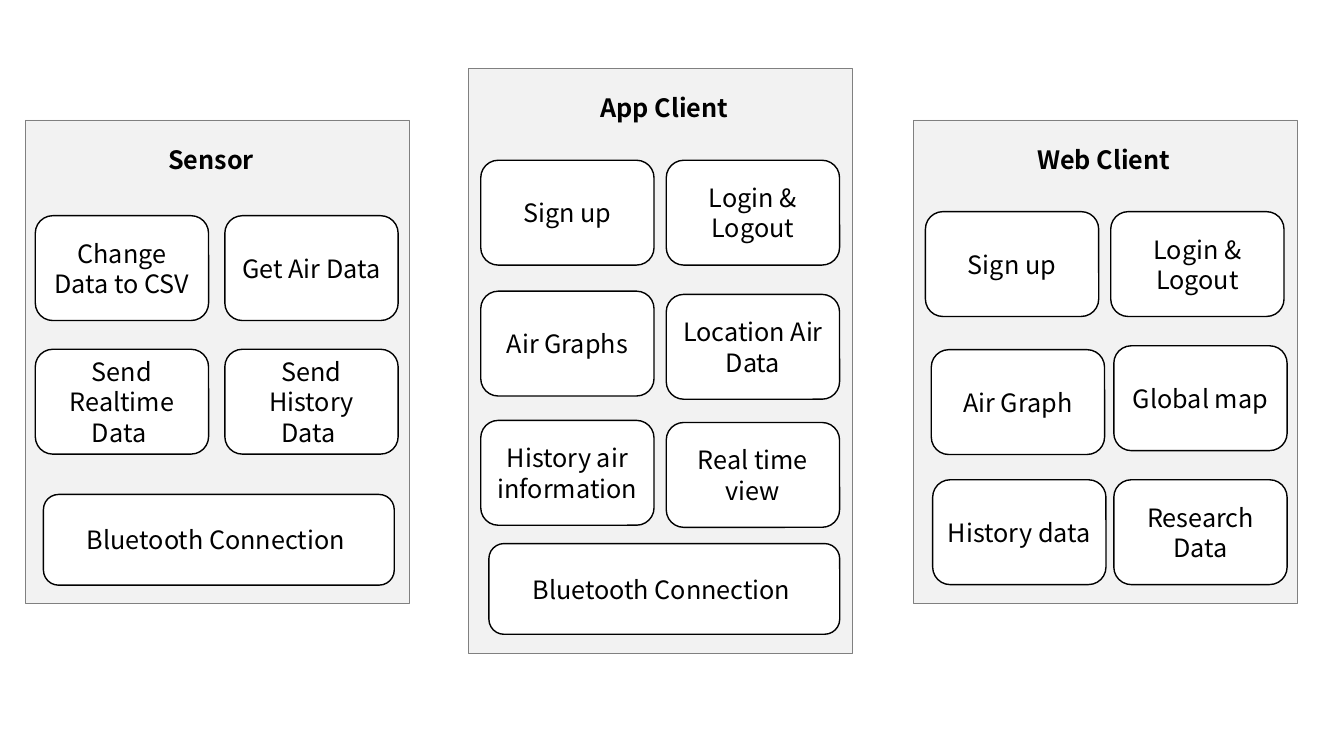
from pptx import Presentation
from pptx.dml.color import RGBColor as RGB
from pptx.enum.shapes import MSO_SHAPE as SHAPE
from pptx.enum.text import MSO_ANCHOR as ANCHOR, PP_ALIGN as ALIGN
from pptx.util import Pt

BLACK = RGB(0x00, 0x00, 0x00)
WHITE = RGB(0xFF, 0xFF, 0xFF)
GRAY = RGB(0x80, 0x80, 0x80)
PALE = RGB(0xF2, 0xF2, 0xF2)
FONT = "Noto Sans CJK KR"
CARD = (123.8, 74.9)
WIDE = (250.6, 64.8)

PANELS = [
    ((18, 85.7, 274.3, 345.6), ("Sensor", 113, 99.4, 122.4)),
    ((334.8, 49, 274.3, 417.6), ("App Client", 421.9, 62.6, 151.2)),
    ((652.3, 85.7, 274.3, 345.6), ("Web Client", 733.7, 99.4, 151.2)),
]
CARDS = [
    ("Change Data to CSV", 25.2, 154.1),
    ("Get Air Data", 160.6, 154.1),
    ("Send Realtime Data ", 25.2, 249.5),
    ("Send History Data ", 160.6, 249.5),
    ("Sign up", 343.4, 114.5),
    ("Login & Logout", 475.9, 114.5),
    ("Air Graphs", 343.4, 208),
    ("Location Air Data", 475.9, 210.3),
    ("History air information", 343.4, 300.3),
    ("Real time view", 475.9, 301.8),
    ("Sign up", 661, 151.2),
    ("Login & Logout", 793.4, 151.2),
    ("Air Graph", 665.2, 249.8),
    ("Global map", 795.6, 247),
    ("History data", 666.2, 342.7),
    ("Research Data", 795.6, 342.7),
]
LINKS = [
    ("Bluetooth Connection ", 31, 353.2),
    ("Bluetooth Connection ", 349.2, 388.3),
]


def style(frame, text, bold=False):
    """Fill a text frame with one black run in the slide's font."""
    frame.text = text
    frame.word_wrap = True
    font = frame.paragraphs[0].runs[0].font
    font.name, font.size, font.bold = FONT, Pt(18), bold
    font.color.rgb = BLACK


def block(slide, kind, area, fill, line, width):
    """Draw a filled, outlined shape without a shadow."""
    shape = slide.shapes.add_shape(kind, *map(Pt, area))
    shape.shadow.inherit = False
    shape.fill.solid()
    shape.fill.fore_color.rgb = fill
    shape.line.color.rgb = line
    shape.line.width = Pt(width)
    return shape


def panel(slide, area, title):
    """Draw a gray panel with its bold title."""
    block(slide, SHAPE.RECTANGLE, area, PALE, GRAY, 0.5)
    text, left, top, width = title
    box = slide.shapes.add_textbox(Pt(left), Pt(top), Pt(width), Pt(29))
    style(box.text_frame, text, bold=True)


def card(slide, text, left, top, size):
    """Draw a rounded white card with centred text."""
    area = (left, top, *size)
    shape = block(slide, SHAPE.ROUNDED_RECTANGLE, area, WHITE, BLACK, 1)
    frame = shape.text_frame
    style(frame, text)
    frame.vertical_anchor = ANCHOR.MIDDLE
    frame.paragraphs[0].alignment = ALIGN.CENTER


def main():
    """Build and save the slide."""
    deck = Presentation()
    deck.slide_width, deck.slide_height = Pt(960), Pt(540)
    slide = deck.slides.add_slide(deck.slide_layouts[6])
    for area, title in PANELS:
        panel(slide, area, title)
    for size, group in ((CARD, CARDS), (WIDE, LINKS)):
        for text, left, top in group:
            card(slide, text, left, top, size)
    deck.save("out.pptx")


main()
